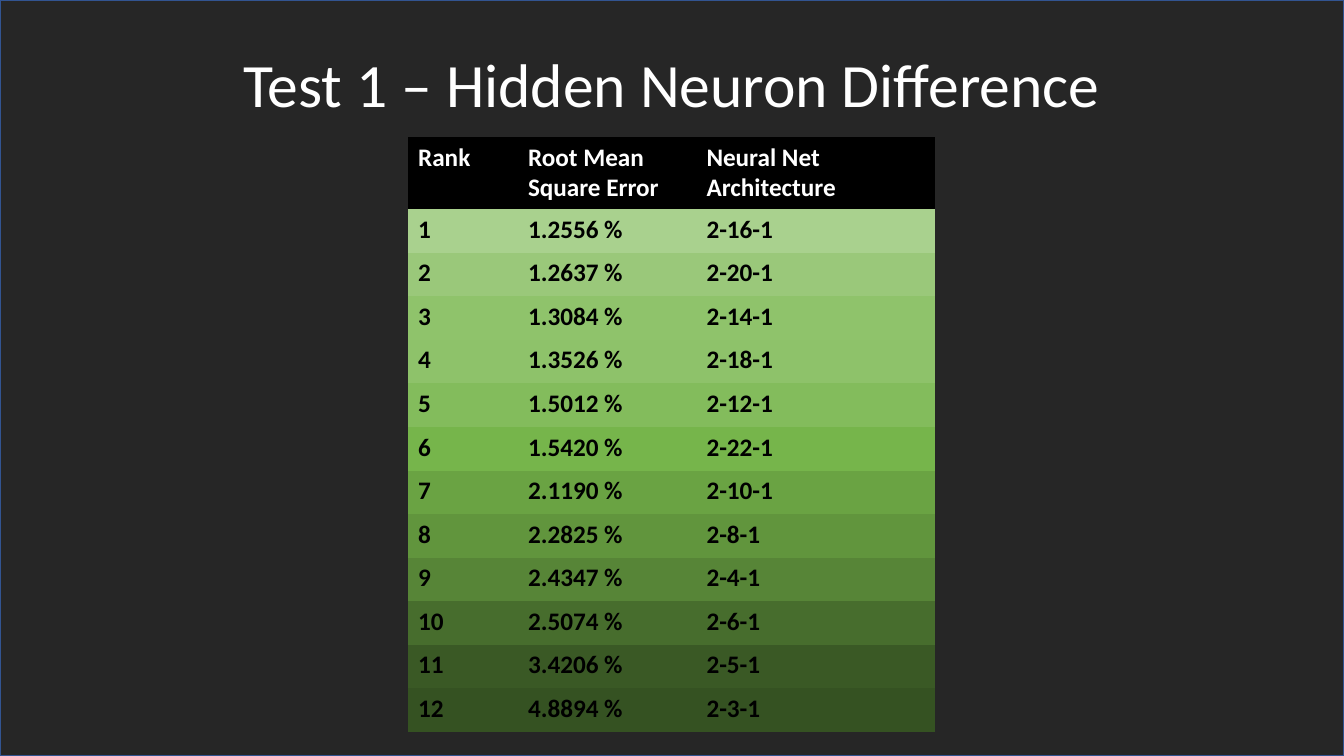
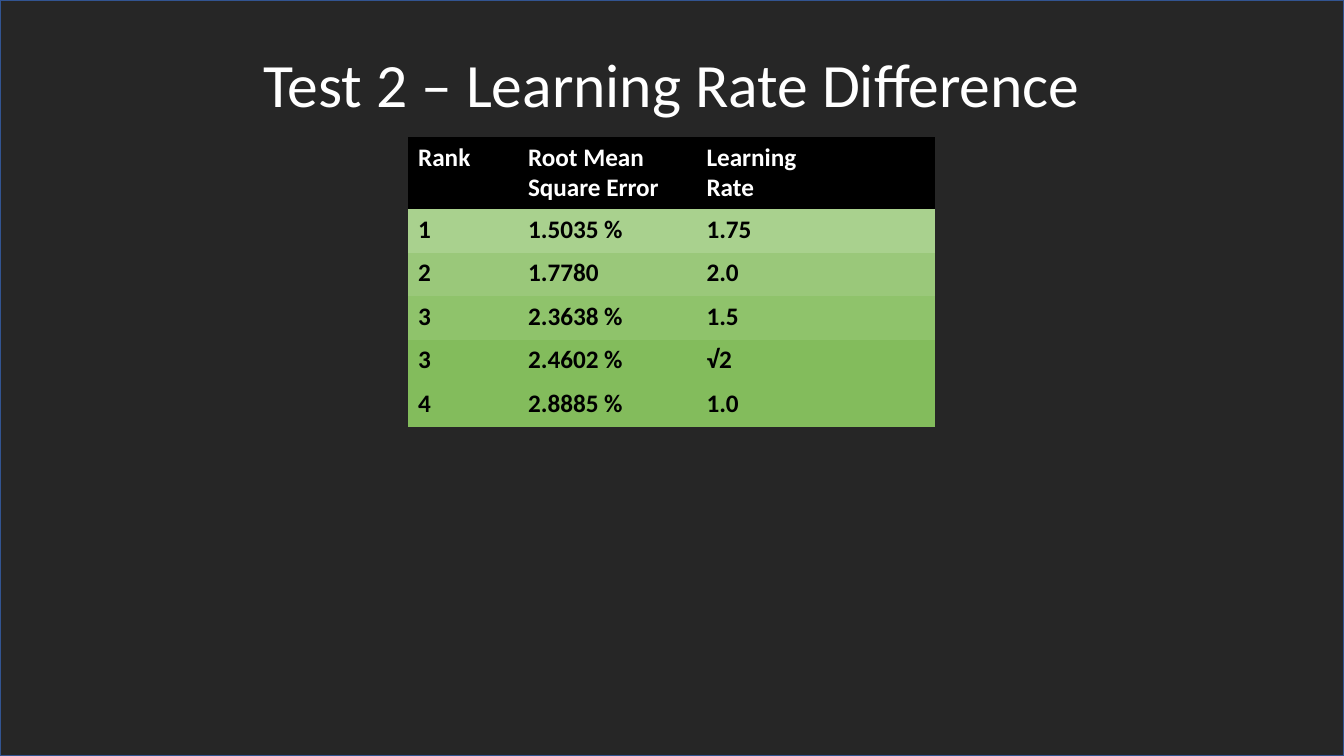
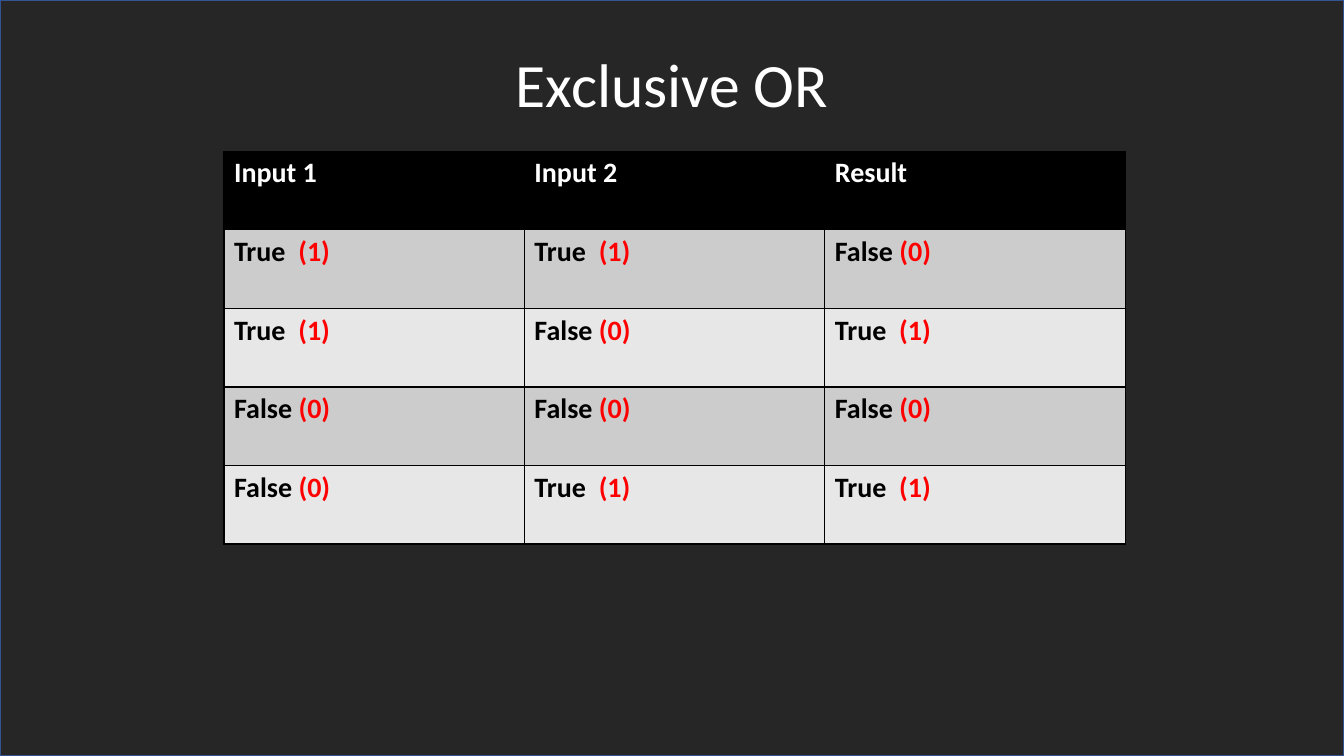
from dataclasses import dataclass
from lxml.etree import SubElement
from pptx import Presentation
from pptx.dml.color import RGBColor
from pptx.enum.shapes import MSO_SHAPE
from pptx.enum.text import MSO_ANCHOR, PP_ALIGN
from pptx.oxml.ns import qn
from pptx.util import Pt


@dataclass(frozen=True)
class Theme:
    font: str = "Calibri"
    background: str = "262626"
    frame: str = "325491"
    light: str = "FFFFFF"
    dark: str = "000000"
    accent: str = "FF0000"
    bands: tuple = ("CCCCCC", "E7E7E7")
    greens: tuple = ("A9D18E", "9AC87A", "8FC36B", "8EC26A", "83BC5C", "76B54B",
                     "6AA343", "61953D", "578537", "476D2D", "3A5925", "355222")
    title_size: int = 44
    rank_size: int = 18
    truth_size: int = 20
    plain_table: str = "{2D5ABB26-0587-4C30-8999-92F81FD0307C}"


class Deck:
    def __init__(self, theme):
        self.theme = theme
        self.prs = Presentation()
        self.prs.slide_width, self.prs.slide_height = Pt(960), Pt(540)
        self.s = None

    def slide(self, title):
        self.s = self.prs.slides.add_slide(self.prs.slide_layouts[5])
        self.backdrop()
        self.title(title)

    def backdrop(self):
        sp = self.s.shapes.add_shape(MSO_SHAPE.RECTANGLE, 0, 0,
                                     self.prs.slide_width, self.prs.slide_height)
        sp.shadow.inherit = False
        sp.fill.solid()
        sp.fill.fore_color.rgb = RGBColor.from_string(self.theme.background)
        sp.line.color.rgb = RGBColor.from_string(self.theme.frame)
        sp.line.width = Pt(1)
        title = self.s.shapes.title.element
        title.addprevious(sp.element)

    def title(self, text):
        sp = self.s.shapes.title
        sp.left, sp.top, sp.width, sp.height = Pt(66), Pt(10), Pt(828), Pt(104.5)
        tf = sp.text_frame
        tf.word_wrap = True
        tf.vertical_anchor = MSO_ANCHOR.MIDDLE
        p = tf.paragraphs[0]
        p.alignment = PP_ALIGN.CENTER
        p.line_spacing = 0.9
        self.run(p, text, self.theme.title_size, self.theme.light)

    def run(self, p, text, size, color, bold=False):
        r = p.add_run()
        r.text = text
        r.font.name = self.theme.font
        r.font.size = Pt(size)
        r.font.bold = bold
        r.font.color.rgb = RGBColor.from_string(color)

    def border(self, cell):
        tc_pr = cell._tc.get_or_add_tcPr()
        for side in ("a:lnL", "a:lnR", "a:lnT", "a:lnB"):
            ln = SubElement(tc_pr, qn(side), w=str(Pt(1)))
            fill = SubElement(ln, qn("a:solidFill"))
            SubElement(fill, qn("a:srgbClr"), val=self.theme.dark)

    def cell(self, cell, paragraphs, size, fill, bordered):
        if bordered:
            self.border(cell)
        cell.fill.solid()
        cell.fill.fore_color.rgb = RGBColor.from_string(fill)
        tf = cell.text_frame
        for i, runs in enumerate(paragraphs):
            p = tf.add_paragraph() if i else tf.paragraphs[0]
            for text, color in runs:
                self.run(p, text, size, color, bold=True)

    def table(self, left, top, widths, heights, rows, fills, size, bordered=False):
        frame = self.s.shapes.add_table(len(rows), len(widths), Pt(left), Pt(top),
                                        Pt(sum(widths)), Pt(sum(heights)))
        table = frame.table
        table.first_row = table.horz_banding = False
        table._tbl.tblPr.find(qn("a:tableStyleId")).text = self.theme.plain_table
        for column, width in zip(table.columns, widths):
            column.width = Pt(width)
        for row, height, values, fill in zip(table.rows, heights, rows, fills):
            row.height = Pt(height)
            for cell, paragraphs in zip(row.cells, values):
                self.cell(cell, paragraphs, size, fill, bordered)

    def header(self, labels):
        return [[[(line, self.theme.light)] for line in label.split("\n")]
                for label in labels]

    def ranking(self, measure, results, greens):
        rows = [self.header(["Rank", "Root Mean Square Error", measure])]
        rows += [[[[(value, self.theme.dark)]] for value in result] for result in results]
        self.table(291.5, 98, [78.5, 127.5, 170.6], [51.4] + [31.13] * len(results),
                   rows, [self.theme.dark, *greens], self.theme.rank_size)

    def truth_table(self, labels, cases):
        words = {1: "True  ", 0: "False "}
        rows = [self.header(labels)]
        rows += [[[[(words[bit], self.theme.dark), (f"({bit})", self.theme.accent)]]
                  for bit in case] for case in cases]
        fills = [self.theme.dark] + [self.theme.bands[i % 2] for i in range(len(cases))]
        self.table(160, 108, [214.6] * len(labels), [56.15] * len(rows),
                   rows, fills, self.theme.truth_size, bordered=True)


theme = Theme()
deck = Deck(theme)

deck.slide("Test 1 – Hidden Neuron Difference")
deck.ranking("Neural Net Architecture", [
    ("1", "1.2556 %", "2-16-1"),
    ("2", "1.2637 %", "2-20-1"),
    ("3", "1.3084 %", "2-14-1"),
    ("4", "1.3526 %", "2-18-1"),
    ("5", "1.5012 %", "2-12-1"),
    ("6", "1.5420 %", "2-22-1"),
    ("7", "2.1190 %", "2-10-1"),
    ("8", "2.2825 %", "2-8-1"),
    ("9", "2.4347 %", "2-4-1"),
    ("10", "2.5074 %", "2-6-1"),
    ("11", "3.4206 %", "2-5-1"),
    ("12", "4.8894 %", "2-3-1"),
], theme.greens)

deck.slide("Test 2 – Learning Rate Difference")
deck.ranking("Learning\nRate", [
    ("1", "1.5035 %", "1.75"),
    ("2", "1.7780", "2.0"),
    ("3", "2.3638 %", "1.5"),
    ("3", "2.4602 %", "√2"),
    ("4", "2.8885 %", "1.0"),
], [theme.greens[i] for i in (0, 1, 2, 4, 4)])

deck.slide("Exclusive OR")
deck.truth_table(["Input 1", "Input 2", "Result"],
                 [(1, 1, 0), (1, 0, 1), (0, 0, 0), (0, 1, 1)])

deck.prs.save("out.pptx")
